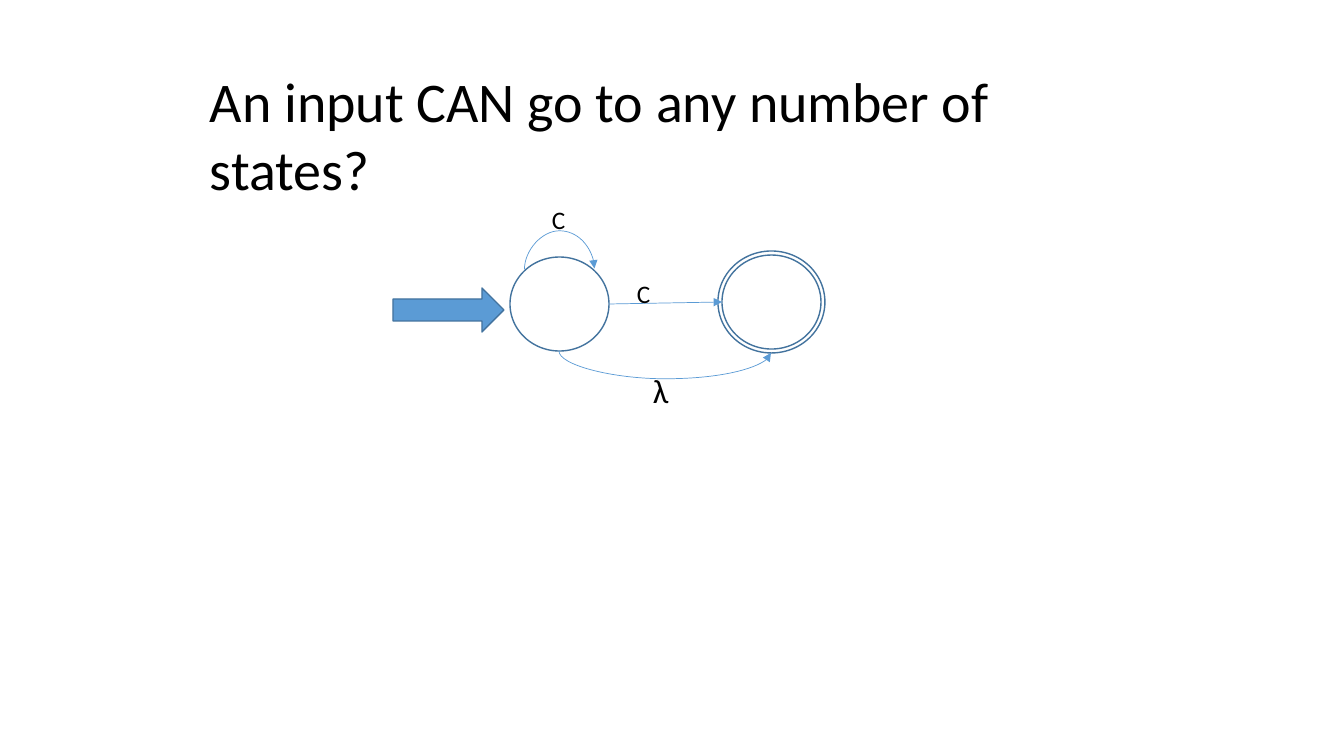
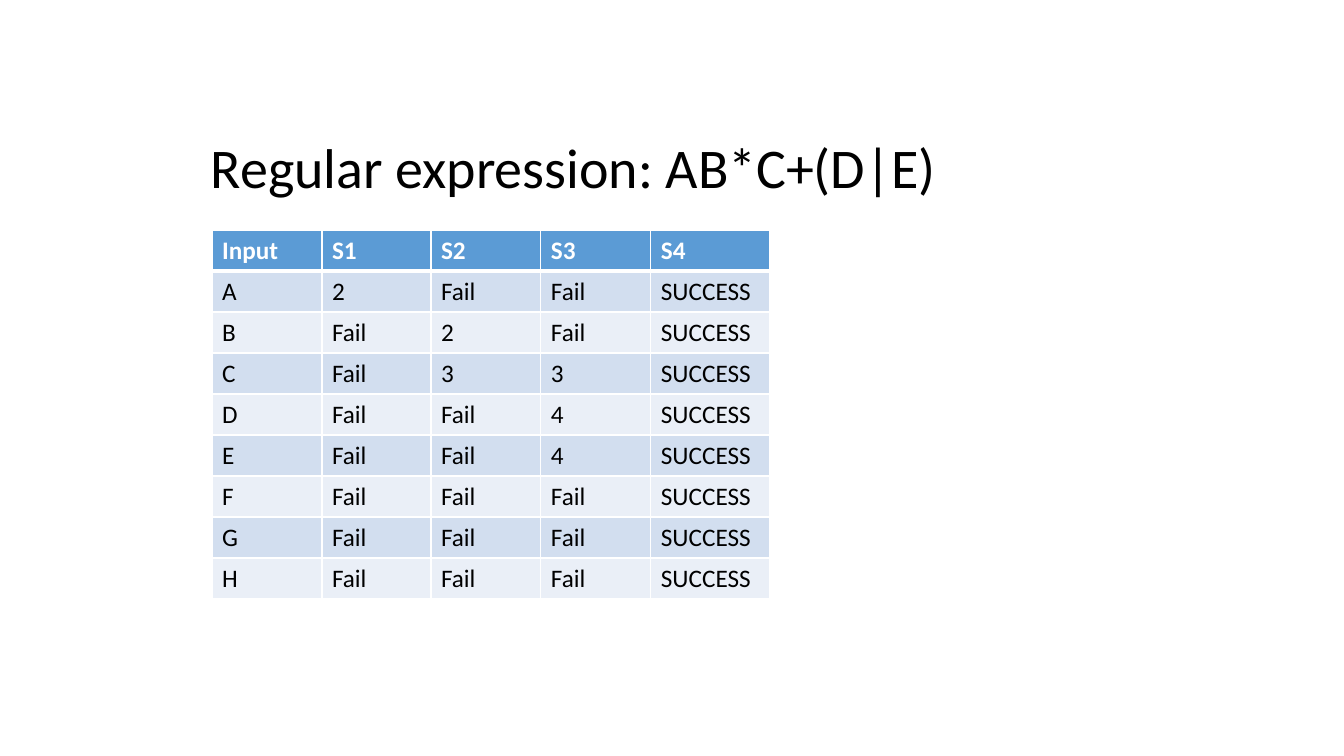
from pptx import Presentation
from pptx.dml.color import RGBColor
from pptx.enum.shapes import MSO_CONNECTOR, MSO_SHAPE
from pptx.enum.text import MSO_AUTO_SIZE
from pptx.oxml.ns import qn
from pptx.util import Pt
from lxml.etree import SubElement

# Content: boxes are (left, top, width, height) in pixels
STATES_TITLE = ("An input CAN go to any number of states?", (200, 62, 970, 78))
REGEX_TITLE = ("Regular expression: AB*C+(D|E)", (201, 128, 779, 78))

ENTRY_ARROW = (393, 288, 111, 44)
STATES = {
    "start": (510, 257, 99, 94),
    "accept": (722, 255, 99, 94),
    "accept ring": (718, 251, 107, 102),
}
# Connection sites of an ellipse, counter-clockwise from the top
TOP_LEFT, LEFT, BOTTOM, RIGHT, TOP_RIGHT = 1, 2, 4, 6, 7
STEP = ("start", RIGHT, "accept", LEFT)
# Ends, box before rotation, rotation and flips, depth of the bow
BOWS = [
    ("start", TOP_LEFT, "start", TOP_RIGHT, (559, 234, 1, 70),
     {"rot": "5400000", "flipH": "1", "flipV": "1"}, 39),
    ("start", BOTTOM, "accept ring", BOTTOM, (664, 246, 2, 212),
     {"rot": "16200000", "flipH": "1"}, 28),
]
# Text, box, type size, wrap
INPUT_LABELS = [
    ("C", (542, 199, 34, 40), "body", False),
    ("C", (627, 273, 34, 40), "body", False),
    ("λ", (643, 365, 42, 50), "symbol", True),
]

TRANSITIONS = [
    ("Input", "S1", "S2", "S3", "S4"),
    ("A", "2", "Fail", "Fail", "SUCCESS"),
    ("B", "Fail", "2", "Fail", "SUCCESS"),
    ("C", "Fail", "3", "3", "SUCCESS"),
    ("D", "Fail", "Fail", "4", "SUCCESS"),
    ("E", "Fail", "Fail", "4", "SUCCESS"),
    ("F", "Fail", "Fail", "Fail", "SUCCESS"),
    ("G", "Fail", "Fail", "Fail", "SUCCESS"),
    ("H", "Fail", "Fail", "Fail", "SUCCESS"),
]
TABLE_CORNER = (212, 230)
COLUMN_WIDTHS = (110, 109, 110, 110, 119)
ROW_HEIGHT = 41

THEME = {
    "font": "Calibri",
    "sizes": {"title": 40, "symbol": 24, "body": 18},
    "colors": {"text": "000000", "white": "FFFFFF", "accent": "5B9BD5",
               "outline": "43739E", "bands": ("EAEFF7", "D2DEEF")},
    "lines": {"shape": 1, "connector": 0.5, "cell": 1, "header": 3},
}
COLORS, LINES = THEME["colors"], THEME["lines"]


def px(pixels):
    """Turn picture pixels into EMU."""
    return round(pixels * 914400 / 100.8)


def scaled(box):
    """Turn every length of a box into EMU."""
    return [px(length) for length in box]


def set_font(paragraph, size, color=COLORS["text"], bold=False):
    """Apply the theme's type to a paragraph's first run."""
    font = paragraph.runs[0].font
    style = {"name": THEME["font"], "size": Pt(THEME["sizes"][size]), "bold": bold}
    for attribute, setting in style.items():
        setattr(font, attribute, setting)
    font.color.rgb = RGBColor.from_string(color)


def set_line(line, color, width):
    """Give an outline its colour and width in points."""
    line.color.rgb = RGBColor.from_string(color)
    line.width = Pt(width)


def add_label(slide, text, box, size, wrap=False):
    """Place a text box that fits its text."""
    frame = slide.shapes.add_textbox(*scaled(box)).text_frame
    layout = {"text": text, "word_wrap": wrap,
              "auto_size": MSO_AUTO_SIZE.SHAPE_TO_FIT_TEXT}
    for attribute, setting in layout.items():
        setattr(frame, attribute, setting)
    set_font(frame.paragraphs[0], size)


def add_outlined(slide, preset, box, fill=None):
    """Draw a preset shape with the theme's outline and an optional fill."""
    shape = slide.shapes.add_shape(preset, *scaled(box))
    shape.shadow.inherit = False
    if fill:
        shape.fill.solid()
        shape.fill.fore_color.rgb = RGBColor.from_string(fill)
    else:
        shape.fill.background()
    set_line(shape.line, COLORS["outline"], LINES["shape"])
    return shape


def add_transition(slide, states, kind, source, source_site, target, target_site):
    """Connect two states with an arrow from right side to left side."""
    begin, end = states[source], states[target]
    arrow = slide.shapes.add_connector(
        kind, begin.left + begin.width, begin.top + begin.height // 2,
        end.left, end.top + end.height // 2)
    links = arrow._element.nvCxnSpPr.cNvCxnSpPr
    for tag, state, site in (("a:stCxn", begin, source_site), ("a:endCxn", end, target_site)):
        SubElement(links, qn(tag), id=str(state.shape_id), idx=str(site))
    set_line(arrow.line, COLORS["accent"], LINES["connector"])
    properties = arrow._element.spPr
    SubElement(properties.find(qn("a:ln")), qn("a:tailEnd"), type="triangle")
    SubElement(properties, qn("a:effectLst"))
    return arrow


def bend(arrow, box, turns, depth):
    """Turn a curved connector so that it bows out by depth pixels."""
    for attribute, length in zip(("left", "top", "width", "height"), scaled(box)):
        setattr(arrow, attribute, length)
    properties = arrow._element.spPr
    transform = properties.find(qn("a:xfrm"))
    for flip in ("flipH", "flipV"):
        transform.attrib.pop(flip, None)
    transform.attrib.update(turns)
    geometry = properties.find(qn("a:prstGeom"))
    adjustments = geometry.find(qn("a:avLst"))
    if adjustments is None:
        adjustments = SubElement(geometry, qn("a:avLst"))
    SubElement(adjustments, qn("a:gd"), name="adj1",
               fmla=f"val {round(depth / box[2] * 100000)}")


def set_borders(cell, bottom):
    """Draw white cell borders, with the bottom one in its own width."""
    widths = {"L": LINES["cell"], "R": LINES["cell"], "T": LINES["cell"], "B": bottom}
    for side, width in widths.items():
        border = SubElement(cell._tc.get_or_add_tcPr(), qn(f"a:ln{side}"), w=str(int(Pt(width))))
        fill = SubElement(border, qn("a:solidFill"))
        SubElement(fill, qn("a:srgbClr"), val=COLORS["white"])


def add_transition_table(slide):
    """Build the banded table of state transitions."""
    size = (sum(COLUMN_WIDTHS), ROW_HEIGHT * len(TRANSITIONS))
    table = slide.shapes.add_table(len(TRANSITIONS), len(COLUMN_WIDTHS),
                                   *scaled(TABLE_CORNER + size)).table
    for column, width in zip(table.columns, COLUMN_WIDTHS):
        column.width = px(width)
    for r, entries in enumerate(TRANSITIONS):
        header = r == 0
        table.rows[r].height = px(ROW_HEIGHT)
        for c, entry in enumerate(entries):
            cell = table.cell(r, c)
            cell.text = entry
            set_font(cell.text_frame.paragraphs[0], "body",
                     COLORS["white" if header else "text"], header)
            set_borders(cell, LINES["header" if header else "cell"])
            cell.fill.solid()
            cell.fill.fore_color.rgb = RGBColor.from_string(
                COLORS["accent"] if header else COLORS["bands"][r % 2])


def add_slide(deck, title):
    """Start a blank slide with its title."""
    slide = deck.slides.add_slide(deck.slide_layouts[6])
    add_label(slide, *title, "title")
    return slide


def build_states(deck):
    """Draw the automaton whose input leads to several states."""
    slide = add_slide(deck, STATES_TITLE)
    add_outlined(slide, MSO_SHAPE.RIGHT_ARROW, ENTRY_ARROW, COLORS["accent"])
    states = {name: add_outlined(slide, MSO_SHAPE.OVAL, box)
              for name, box in STATES.items()}
    add_transition(slide, states, MSO_CONNECTOR.STRAIGHT, *STEP)
    for *ends, box, turns, depth in BOWS:
        bend(add_transition(slide, states, MSO_CONNECTOR.CURVE, *ends), box, turns, depth)
    for label in INPUT_LABELS:
        add_label(slide, *label)


def build_regex(deck):
    """Show the regular expression and its transition table."""
    add_transition_table(add_slide(deck, REGEX_TITLE))


deck = Presentation()
deck.slide_width, deck.slide_height = px(1344), px(756)
build_states(deck)
build_regex(deck)
deck.save("out.pptx")
